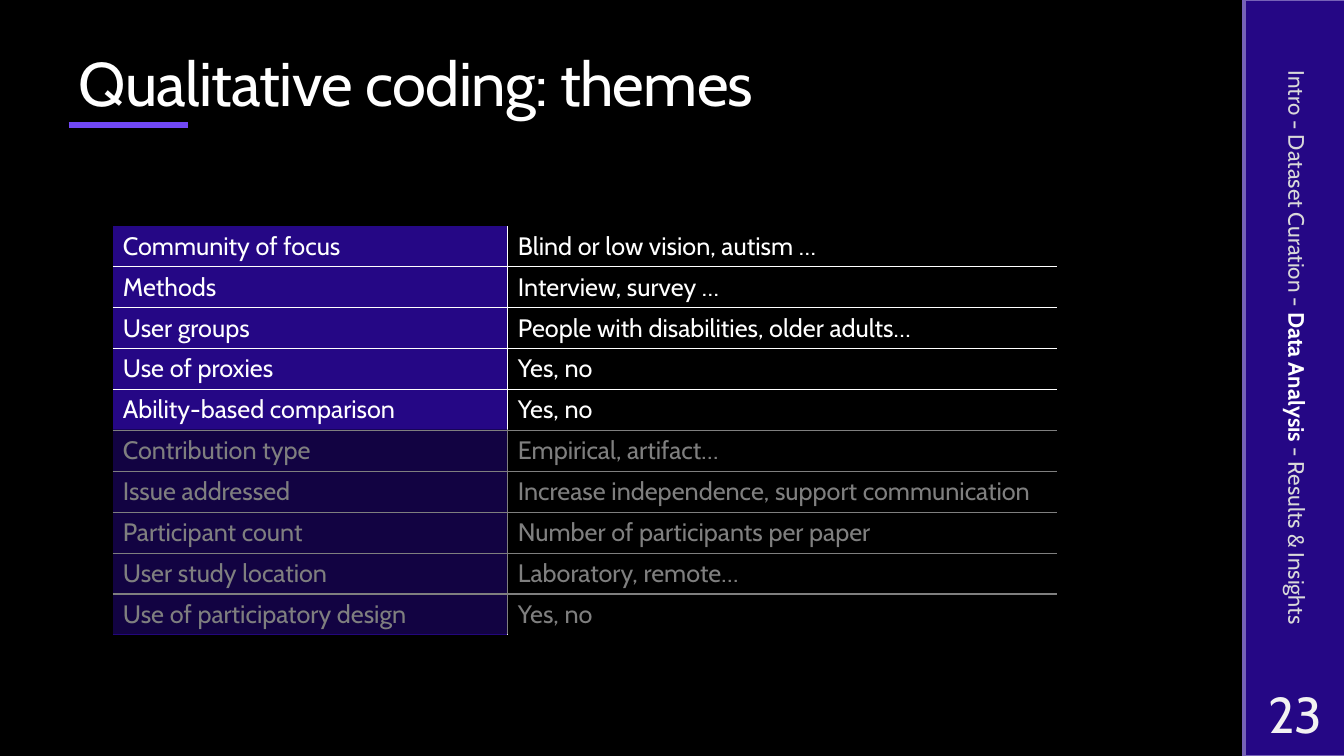
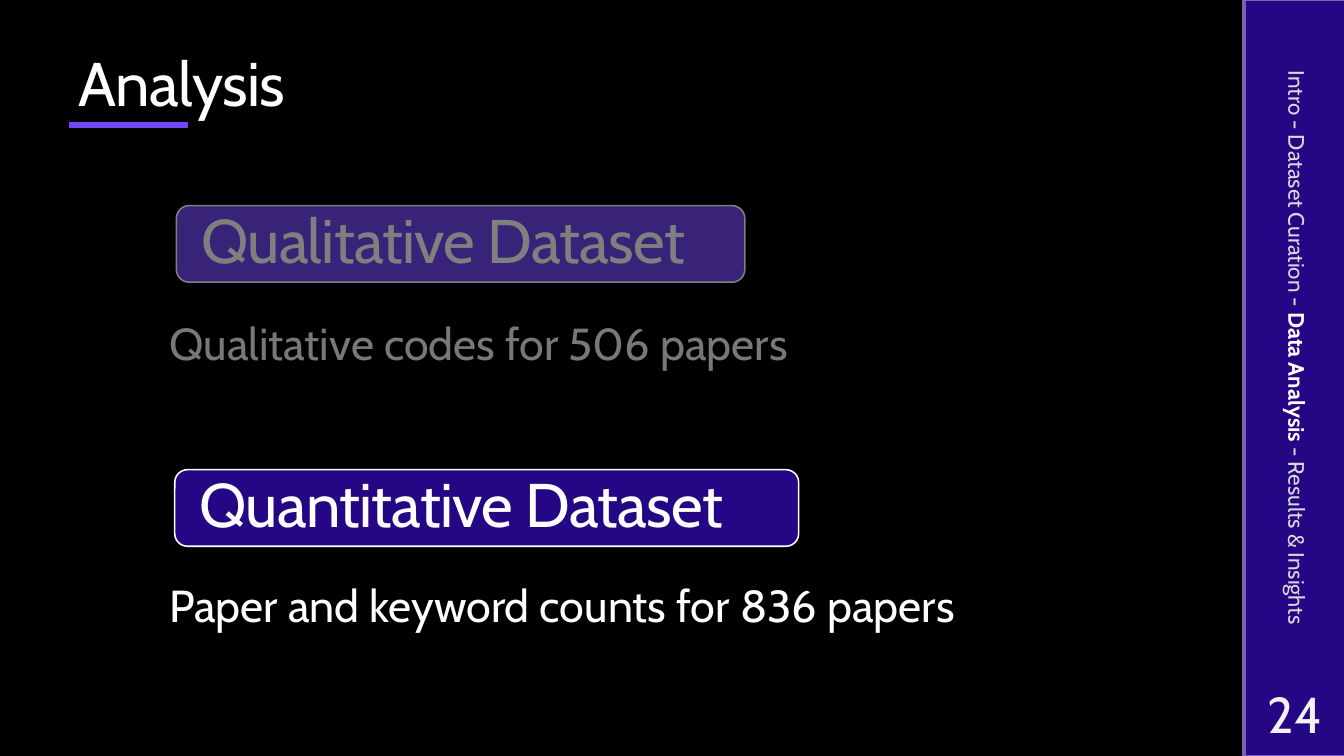
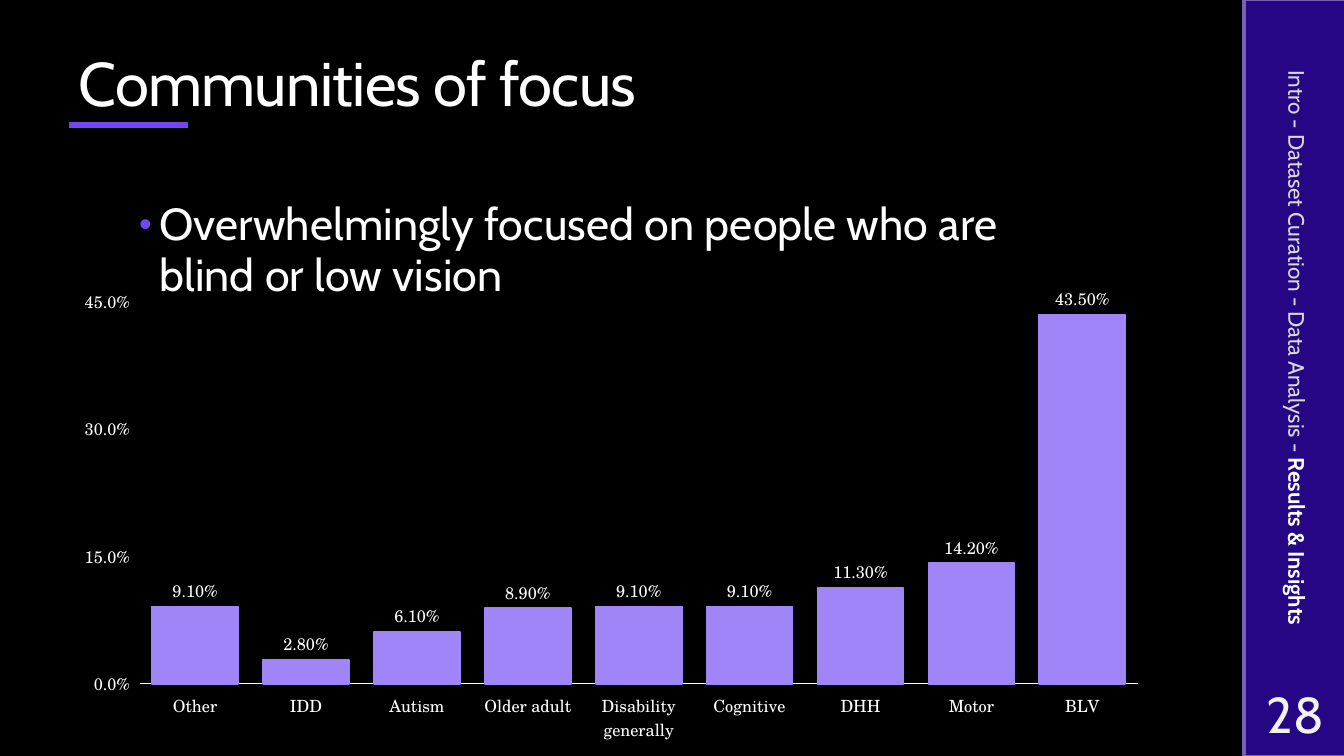
import pptx
import pptx.chart.data
import pptx.dml.color
import pptx.enum.chart
import pptx.enum.shapes
import pptx.enum.text
import pptx.oxml
import pptx.oxml.ns
import pptx.util
from dataclasses import dataclass

Pt = pptx.util.Pt
qn = pptx.oxml.ns.qn
SHAPE = pptx.enum.shapes.MSO_SHAPE
ALIGN = pptx.enum.text.PP_ALIGN
ANCHOR = pptx.enum.text.MSO_ANCHOR
FIT = pptx.enum.text.MSO_AUTO_SIZE
CHART = pptx.enum.chart


@dataclass(frozen=True)
class Theme:
    back: str = "000000"
    band: str = "250785"
    edge: str = "7662B7"
    rule: str = "7148F4"
    bar: str = "A085F8"
    white: str = "FFFFFF"
    soft: str = "F2F2F2"
    dim: str = "D9D9D9"
    font: str = "Cabin"
    serif: str = "TeX Gyre Schola"
    head: int = 44
    page: int = 36
    body: int = 32
    cell: int = 18
    trail: int = 16
    label: int = 12


PARTS = ("Intro", "Dataset Curation", "Data Analysis", "Results & Insights")
NO_GRID = "{2D5ABB26-0587-4C30-8999-92F81FD0307C}"


def rgb(code):
    return pptx.dml.color.RGBColor.from_string(code)


def apply(item, values):
    for name, value in values.items():
        setattr(item, name, value)


def node(tag, inner="", **attrs):
    """Make an XML element, given its prefixed tag and attributes."""
    pairs = "".join(f' {key}="{value}"' for key, value in attrs.items())
    spaces = pptx.oxml.ns.nsdecls(tag.split(":")[0])
    return pptx.oxml.parse_xml(f"<{tag} {spaces}{pairs}>{inner}</{tag}>")


def solid(code):
    return f'<a:solidFill><a:srgbClr val="{code}"/></a:solidFill>'


class Deck:
    def __init__(self, theme):
        self.theme = theme
        self.show = pptx.Presentation()
        self.show.slide_width, self.show.slide_height = Pt(960), Pt(540)
        fill = self.show.slide_master.background.fill
        fill.solid()
        fill.fore_color.rgb = rgb(theme.back)
        self.slide = None

    def style(self, font, size, ink, name=None, bold=False):
        apply(font, {"name": name or self.theme.font, "size": Pt(size), "bold": bold})
        font.color.rgb = rgb(ink)

    def words(self, frame, runs, size, para=None, box=None, track=0):
        """Fill a text frame with one line of (text, ink, bold) runs."""
        apply(frame, {"word_wrap": True, "auto_size": FIT.NONE, **(box or {})})
        line = frame.paragraphs[0]
        apply(line, {"alignment": ALIGN.LEFT, **(para or {})})
        for text, ink, bold in runs:
            run = line.add_run()
            run.text = text
            self.style(run.font, size, ink, bold=bold)
            if track:
                run._r.get_or_add_rPr().set("spc", str(track))
        return line

    def start(self, title, page, part, layout=5):
        """Open a slide with its title, side band, rule and page number."""
        look = self.theme
        self.slide = self.show.slides.add_slide(self.show.slide_layouts[layout])
        for left in (888, 889.2):
            self.block(SHAPE.RECTANGLE, (left, 0, 72, 540), look.band, look.edge)
        self.rule(49, 89.3, 134)
        self.text((889.2, 486, 72, 46.8), [(str(page), look.soft, False)], look.page,
                  {"alignment": ALIGN.CENTER}, {"margin_left": Pt(3.6), "margin_right": Pt(3.6)})
        runs = []
        for name in PARTS:
            if runs:
                runs.append((" - ", look.dim, False))
            live = name == part
            runs.append((name, look.white if live else look.dim, live))
        trail = self.text((701.3, 232.6, 450.7, 31.7), runs, look.trail,
                          {"alignment": ALIGN.CENTER})
        trail.rotation = 90
        head = self.slide.shapes.title
        self.place(head, (49, 23, 763.2, 66.2))
        self.words(head.text_frame, [(title, look.white, False)], look.head,
                   {"line_spacing": 0.9}, {"vertical_anchor": ANCHOR.BOTTOM}, -50)

    def place(self, item, area):
        apply(item, dict(zip(("left", "top", "width", "height"), map(Pt, area))))

    def block(self, kind, area, fill, line=None, clear=None):
        shape = self.slide.shapes.add_shape(kind, *map(Pt, area))
        shape.shadow.inherit = False
        shape.fill.solid()
        shape.fill.fore_color.rgb = rgb(fill)
        if clear:
            tint = next(shape.element.spPr.iter(qn("a:srgbClr")))
            tint.append(node("a:alpha", val=clear * 1000))
        if line:
            shape.line.color.rgb = rgb(line)
            shape.line.width = Pt(1.1)
        else:
            shape.line.fill.background()
        return shape

    def shade(self, left, top):
        """Dim what lies below with a half-clear black pane."""
        self.block(SHAPE.RECTANGLE, (left, top, 674.6, 146.2), self.theme.back, clear=50)

    def rule(self, left, top, right):
        line = self.slide.shapes.add_connector(
            pptx.enum.shapes.MSO_CONNECTOR.STRAIGHT, Pt(left), Pt(top), Pt(right), Pt(top))
        line.line.color.rgb = rgb(self.theme.rule)
        line.line.width = Pt(4.5)
        line._element.spPr.append(node("a:effectLst"))

    def text(self, area, runs, size, para=None, box=None):
        shape = self.slide.shapes.add_textbox(*map(Pt, area))
        self.words(shape.text_frame, runs, size, para,
                   {"vertical_anchor": ANCHOR.MIDDLE, **(box or {})})
        return shape

    def pill(self, area, name, fill):
        look = self.theme
        shape = self.block(SHAPE.ROUNDED_RECTANGLE, area, fill, look.white)
        self.words(shape.text_frame, [(name, look.white, False)], look.head,
                   {"line_spacing": 0.9},
                   {"vertical_anchor": ANCHOR.MIDDLE, "margin_left": Pt(15),
                    "margin_top": 0, "margin_bottom": 0}, -50)

    def bullet(self, area, text):
        look = self.theme
        body = self.slide.placeholders[1]
        self.place(body, area)
        line = self.words(body.text_frame, [(text, look.white, False)], look.body,
                          {"line_spacing": 0.95, "space_before": Pt(14), "space_after": Pt(2)},
                          {"vertical_anchor": ANCHOR.TOP}, 10)
        props = line._p.get_or_add_pPr()
        props.set("marL", str(Pt(14.4)))
        props.set("indent", str(-Pt(14.4)))
        props.append(node("a:buClr", f'<a:srgbClr val="{look.rule}"/>'))
        props.append(node("a:buSzPct", val=80000))
        props.append(node("a:buChar", char="•"))

    def table(self, left, top, widths, tall, rows):
        look = self.theme
        frame = self.slide.shapes.add_table(
            len(rows), len(widths), Pt(left), Pt(top), Pt(sum(widths)), Pt(tall * len(rows)))
        next(frame.element.iter(qn("a:tableStyleId"))).text = NO_GRID
        grid = frame.table
        apply(grid, {"first_row": False, "horz_banding": False})
        for col, width in zip(grid.columns, widths):
            col.width = Pt(width)
        for r, row in enumerate(rows):
            grid.rows[r].height = Pt(tall)
            for c, text in enumerate(row):
                cell = grid.cell(r, c)
                self.words(cell.text_frame, [(text, look.white, False)], look.cell)
                sides = {"a:lnL": c > 0, "a:lnR": c == 0,
                         "a:lnT": r > 0, "a:lnB": r < len(rows) - 1}
                props = cell._tc.get_or_add_tcPr()
                for side, drawn in sides.items():
                    if drawn:
                        props.append(node(side, solid(look.white), w=Pt(1)))
                if c == 0:
                    cell.fill.solid()
                    cell.fill.fore_color.rgb = rgb(look.band)
                else:
                    cell.fill.background()

    def chart(self, area, shares):
        look = self.theme
        data = pptx.chart.data.CategoryChartData()
        data.categories = list(shares)
        data.add_series("Series 1", list(shares.values()))
        chart = self.slide.shapes.add_chart(
            CHART.XL_CHART_TYPE.COLUMN_CLUSTERED, *map(Pt, area), data).chart
        apply(chart, {"has_legend": False, "has_title": False})
        self.style(chart.font, 10, look.white, look.serif)

        plot = chart.plots[0]
        apply(plot, {"gap_width": 29, "overlap": -27, "vary_by_categories": False,
                     "has_data_labels": True})
        bars = plot.series[0].format
        bars.fill.solid()
        bars.fill.fore_color.rgb = rgb(look.bar)
        bars.line.color.rgb = rgb(look.bar)
        bars.line.width = Pt(1.25)
        labels = plot.data_labels
        apply(labels, {"show_value": True, "number_format": "0.00%",
                       "number_format_is_linked": False,
                       "position": CHART.XL_LABEL_POSITION.OUTSIDE_END})

        cats, vals = chart.category_axis, chart.value_axis
        apply(cats, {"major_tick_mark": CHART.XL_TICK_MARK.NONE,
                     "tick_label_position": CHART.XL_TICK_LABEL_POSITION.LOW,
                     "crosses": CHART.XL_AXIS_CROSSES.MAXIMUM})
        cats.format.line.color.rgb = rgb(look.white)
        cats.format.line.width = Pt(0.75)
        apply(vals, {"minimum_scale": 0, "maximum_scale": 0.45, "major_unit": 0.15,
                     "has_major_gridlines": False})
        vals.format.line.fill.background()
        apply(vals.tick_labels, {"number_format": "0.0%", "number_format_is_linked": False})
        for font in (labels.font, cats.tick_labels.font, vals.tick_labels.font):
            self.style(font, look.label, look.white, look.serif)

        zone = next(chart.element.iter(qn("c:plotArea")))
        for old in zone.findall(qn("c:layout")):
            zone.remove(old)
        spots = {"layoutTarget": "inner", "xMode": "edge", "yMode": "edge",
                 "x": 0.02, "y": 0.05, "w": 0.91, "h": 0.81}
        inner = "".join(f'<c:{key} val="{value}"/>' for key, value in spots.items())
        zone.insert(0, node("c:layout", f"<c:manualLayout>{inner}</c:manualLayout>"))


def main():
    look = Theme()
    deck = Deck(look)

    deck.start("Qualitative coding: themes", 23, "Data Analysis")
    deck.table(80.6, 161.3, (282.2, 392.4), 29.23, (
        ("Community of focus", "Blind or low vision, autism …"),
        ("Methods", "Interview, survey …"),
        ("User groups", "People with disabilities, older adults…"),
        ("Use of proxies", "Yes, no"),
        ("Ability-based comparison", "Yes, no"),
        ("Contribution type", "Empirical, artifact…"),
        ("Issue addressed", "Increase independence, support communication"),
        ("Participant count", "Number of participants per paper"),
        ("User study location", "Laboratory, remote…"),
        ("Use of participatory design", "Yes, no"),
    ))
    deck.shade(80.6, 306.7)

    deck.start("Analysis", 24, "Data Analysis")
    sets = (
        ((126, 146.9, 406, 54.7), "Qualitative Dataset", look.rule,
         205.2, "Qualitative codes for 506 papers", look.soft),
        ((124.8, 335.5, 445.7, 54.7), "Quantitative Dataset", look.band,
         392.4, "Paper and keyword counts for 836 papers", look.white),
    )
    for area, name, fill, top, note, ink in sets:
        deck.pill(area, name, fill)
        deck.text((99.4, top, 676.8, 83.5), [(note, ink, False)], look.body,
                  {"line_spacing": 0.9}, {"margin_left": Pt(21.6), "margin_right": Pt(18)})
    deck.shade(67, 136.8)

    deck.start("Communities of focus", 28, "Results & Insights", layout=1)
    deck.chart((60.5, 198.7, 807.1, 337), {
        "Other": 0.091, "IDD": 0.028, "Autism": 0.061, "Older adult": 0.089,
        "Disability generally": 0.091, "Cognitive": 0.091, "DHH": 0.113,
        "Motor": 0.142, "BLV": 0.435,
    })
    deck.bullet((92.2, 139, 676.8, 95.8),
                "Overwhelmingly focused on people who are blind or low vision")

    deck.show.save("out.pptx")


if __name__ == "__main__":
    main()
